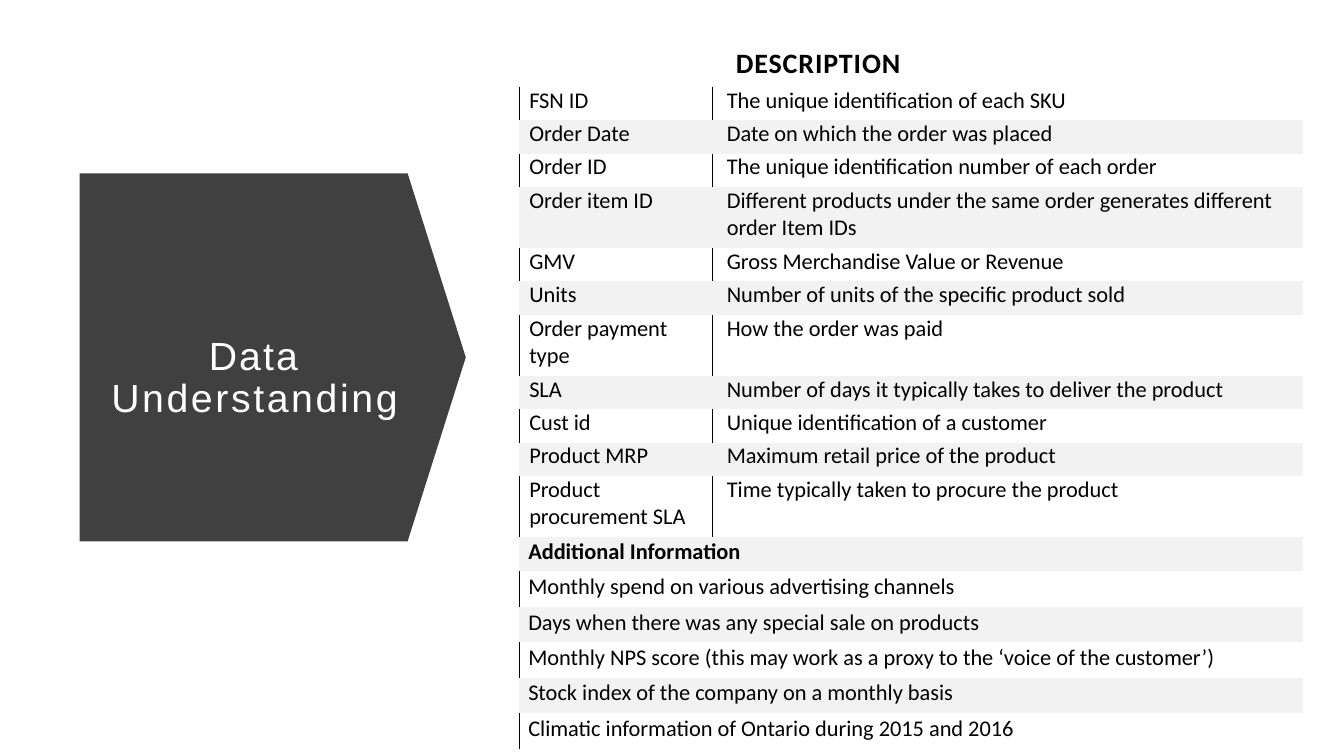
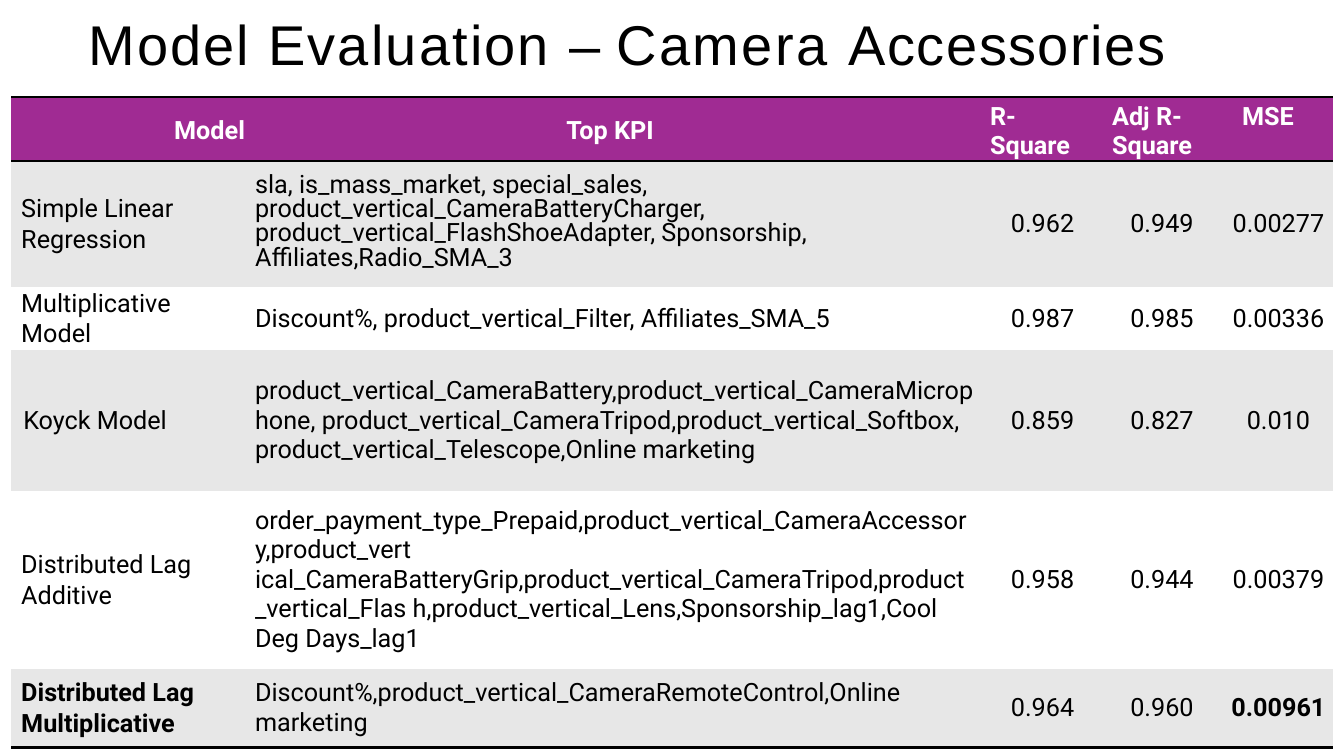
"""Build two slides: a data dictionary and a model comparison."""
import lxml.etree
import pptx
import pptx.dml.color
import pptx.enum.shapes
import pptx.enum.text
import pptx.oxml
import pptx.oxml.ns
import pptx.util

ALIGN = pptx.enum.text.PP_ALIGN
ANCHOR = pptx.enum.text.MSO_ANCHOR
SHAPE = pptx.enum.shapes.MSO_SHAPE
QN = pptx.oxml.ns.qn

BLACK, WHITE, CHARCOAL, PURPLE = "000000", "FFFFFF", "404040", "A02B93"
LIGHT_BAND, MODEL_BAND = "F2F2F2", "E7E7E7"
NO_STYLE_NO_GRID = "{2D5ABB26-0587-4C30-8999-92F81FD0307C}"


def color(value):
    return pptx.dml.color.RGBColor.from_string(value)


def write(text_frame, text, font="Arial", size=18, ink=BLACK, bold=False,
          align=ALIGN.LEFT, indent=0, before=0, spacing=1.0):
    text_frame.word_wrap = True
    for index, line in enumerate(text.split("\n") if isinstance(text, str) else [text]):
        paragraph = text_frame.add_paragraph() if index else text_frame.paragraphs[0]
        paragraph.alignment = align
        paragraph.space_before = pptx.util.Pt(before)
        paragraph.line_spacing = spacing
        properties = paragraph._p.get_or_add_pPr()
        properties.set("marL", str(pptx.util.Inches(indent)))
        properties.set("indent", "0")
        for words, tracking in [(line, 0)] if isinstance(line, str) else line:
            run = paragraph.add_run()
            run.text = words
            run.font.name, run.font.size, run.font.bold = font, pptx.util.Pt(size), bold
            run.font.color.rgb = color(ink)
            if tracking:
                run._r.get_or_add_rPr().set("spc", str(round(tracking * 100)))


presentation = pptx.Presentation()
presentation.slide_width = pptx.util.Inches(13.33)
presentation.slide_height = pptx.util.Inches(7.5)
column_unit = presentation.slide_width / 100
row_unit = presentation.slide_height / 100

percentages = {
    "arrow": (6.6, 21.73, 27.38, 51.07),
    "data title": (5.85, 31.47, 26.18, 37.2),
    "data table": (38.63, 5.47, 58.35, 88.53),
    "panel": (7.5, 11.33, 85, 77.2),
    "model title": (6.6, 1.07, 93.4, 9.2),
    "model table": (0.83, 12.8, 98.35, 82.67),
}
areas = {name: [int(share * unit) for share, unit in zip(box, (column_unit, row_unit) * 2)]
         for name, box in percentages.items()}

titles = [
    ("data title", [("Data ", 1.6), ("Understanding", 1.9)], (0.1, 0.05),
     {"size": 28, "ink": WHITE, "align": ALIGN.CENTER, "spacing": 0.9}),
    ("model title", [("Model ", 1.4), ("Evaluation ", 1.6), ("– ", 0), ("Camera ", 1.8),
                     ("Accessories", 1.1)], (0, 0.01), {"size": 40, "before": 1.1}),
]
slides = []
for name, text, (side_margin, top_margin), text_format in titles:
    slide = presentation.slides.add_slide(presentation.slide_layouts[5])
    slides.append(slide)
    title = slide.shapes.title
    title.left, title.top, title.width, title.height = areas[name]
    frame = title.text_frame
    frame.auto_size = pptx.enum.text.MSO_AUTO_SIZE.NONE
    frame.vertical_anchor = ANCHOR.MIDDLE
    frame.margin_left = frame.margin_right = pptx.util.Inches(side_margin)
    frame.margin_top = pptx.util.Inches(top_margin)
    frame.margin_bottom = pptx.util.Inches(0.05 if side_margin else 0)
    write(frame, text, **text_format)

backdrops = [("arrow", SHAPE.DOWN_ARROW, CHARCOAL), ("panel", SHAPE.RECTANGLE, WHITE)]
for slide, (name, kind, fill) in zip(slides, backdrops):
    shape = slide.shapes.add_shape(kind, *areas[name])
    shape.shadow.inherit = False
    shape.fill.solid()
    shape.fill.fore_color.rgb = color(fill)
    shape.line.fill.background()
    if name == "arrow":
        shape.adjustments[0], shape.adjustments[1] = 1, 0.158
        shape.rotation = 270
    else:
        fill_color = shape.element.spPr.find(".//" + QN("a:srgbClr"))
        lxml.etree.SubElement(fill_color, QN("a:alpha"), val="90000")
    slide.shapes.title.element.addprevious(shape.element)

fields = [
    ("FSN ID", "The unique identification of each SKU"),
    ("Order Date", "Date on which the order was placed"),
    ("Order ID", "The unique identification number of each order"),
    ("Order item ID",
     "Different products under the same order generates different order Item IDs"),
    ("GMV", "Gross Merchandise Value or Revenue"),
    ("Units", "Number of units of the specific product sold"),
    ("Order payment type", "How the order was paid"),
    ("SLA", "Number of days it typically takes to deliver the product"),
    ("Cust id", "Unique identification of a customer"),
    ("Product MRP", "Maximum retail price of the product"),
    ("Product procurement SLA", "Time typically taken to procure the product"),
]
additions = [
    "Additional Information",
    "Monthly spend on various advertising channels",
    "Days when there was any special sale on products",
    "Monthly NPS score (this may work as a proxy to the ‘voice of the customer’)",
    "Stock index of the company on a monthly basis",
    "Climatic information of Ontario during 2015 and 2016",
]
body = {"font": "Calibri", "size": 16}
data_rows = [{"height": 6, "top": 0, "anchor": ANCHOR.BOTTOM, "fill": None, "borders": {},
              "cells": [([("DESCRIPTION", 0.6)],
                         {**body, "size": 20, "bold": True, "indent": 2.15, "before": 0.5})]}]
for index, entry in enumerate(fields + additions):
    banded = index % 2 == 1
    if index < len(fields):
        height, top = (7.47 if entry[0] in ("Order item ID", "Product procurement SLA") else 4.4), 0
        cells = [(text, {**body, "indent": indent, "before": 0.2})
                 for text, indent in zip(entry, (0.1, 0.14))]
    else:
        heading = entry == additions[0]
        height, top = (4.53, 0.01) if heading else (4.67, 0.02)
        cells = [(entry, {**body, "bold": heading, "indent": 0.09,
                          "before": 0.8 if heading else 2})]
    data_rows.append({"height": height, "top": top, "anchor": ANCHOR.TOP,
                      "fill": LIGHT_BAND if banded else None,
                      "borders": {} if banded else {"L": 1}, "cells": cells})

models = [
    (16.67, "Simple Linear\nRegression",
     "sla, is_mass_market, special_sales, product_vertical_CameraBatteryCharger, "
     "product_vertical_FlashShoeAdapter, Sponsorship, Affiliates,Radio_SMA_3",
     "0.962", "0.949", "0.00277"),
    (8.4, "Multiplicative Model", "Discount%, product_vertical_Filter, Affiliates_SMA_5",
     "0.987", "0.985", "0.00336"),
    (18.53, "Koyck Model",
     "product_vertical_CameraBattery,product_vertical_CameraMicrophone, "
     "product_vertical_CameraTripod,product_vertical_Softbox, "
     "product_vertical_Telescope,Online marketing",
     "0.859", "0.827", "0.010"),
    (23.6, "Distributed Lag Additive",
     "order_payment_type_Prepaid,product_vertical_CameraAccessory,product_vert "
     "ical_CameraBatteryGrip,product_vertical_CameraTripod,product_vertical_Flas "
     "h,product_vertical_Lens,Sponsorship_lag1,Cool Deg Days_lag1",
     "0.958", "0.944", "0.00379"),
    (10.4, "Distributed Lag Multiplicative",
     "Discount%,product_vertical_CameraRemoteControl,Online marketing",
     "0.964", "0.960", "0.00961"),
]
headings = [("Model", ALIGN.RIGHT, 0), ("Top KPI", ALIGN.CENTER, 0.01),
            ("R- Square", ALIGN.LEFT, 0.16), ("Adj R- Square", ALIGN.LEFT, 0.12),
            ("MSE", ALIGN.LEFT, 0.29)]
heading_format = {"font": "Roboto", "ink": WHITE, "bold": True, "before": 3.8}
model_rows = [{"height": 5.07, "top": 0.05, "anchor": ANCHOR.MIDDLE, "fill": PURPLE,
               "borders": {"T": 2, "B": 2},
               "cells": [(text, {**heading_format, "align": align, "indent": indent})
                         for text, align, indent in headings]}]
for index, (height, model, indicators, *scores) in enumerate(models):
    last = index == len(models) - 1
    cells = [
        (model, {"font": "Roboto", "bold": last, "indent": 0.12 if index == 2 else 0.1,
                 "spacing": pptx.util.Pt(21.8)}),
        (indicators, {"font": "Roboto", "indent": 0.1, "before": 0.5,
                      "spacing": 1.0 if index else pptx.util.Pt(17.3)}),
    ]
    cells += [(score, {"font": "Roboto", "bold": last and score == scores[-1], "indent": 0.11,
                       "align": ALIGN.CENTER, "spacing": pptx.util.Pt(21.1)})
              for score in scores]
    model_rows.append({"height": height, "top": 0, "anchor": ANCHOR.MIDDLE,
                       "fill": WHITE if index % 2 else MODEL_BAND,
                       "borders": {"B": 2} if last else {}, "cells": cells})

tables = [("data table", (14.4, 43.95), data_rows, 0.06),
          ("model table", (17.4, 54.24, 9.38, 8.4, 8.93), model_rows, 0)]
for slide, (name, widths, rows, bottom_margin) in zip(slides, tables):
    graphic = slide.shapes.add_table(len(rows), len(widths), *areas[name])
    graphic.element.find(".//" + QN("a:tableStyleId")).text = NO_STYLE_NO_GRID
    table = graphic.table
    table.first_row = table.horz_banding = False
    for column, width in zip(table.columns, widths):
        column.width = int(width * column_unit)
    for row_index, row in enumerate(rows):
        table.rows[row_index].height = int(row["height"] * row_unit)
        if len(row["cells"]) == 1:
            table.cell(row_index, 0).merge(table.cell(row_index, len(widths) - 1))
        for column_index, (text, text_format) in enumerate(row["cells"]):
            cell = table.cell(row_index, column_index)
            cell.margin_left = cell.margin_right = 0
            cell.margin_top = pptx.util.Inches(row["top"])
            cell.margin_bottom = pptx.util.Inches(bottom_margin)
            cell.vertical_anchor = ANCHOR.TOP if text == "MSE" else row["anchor"]
            properties = cell._tc.get_or_add_tcPr()
            for side, points in row["borders"].items():
                line = lxml.etree.SubElement(properties, QN("a:ln" + side),
                                             w=str(pptx.util.Pt(points)))
                solid = lxml.etree.SubElement(line, QN("a:solidFill"))
                lxml.etree.SubElement(solid, QN("a:srgbClr"), val=BLACK)
            if row["fill"]:
                cell.fill.solid()
                cell.fill.fore_color.rgb = color(row["fill"])
            else:
                cell.fill.background()
            write(cell.text_frame, text, **text_format)

presentation.save("out.pptx")
